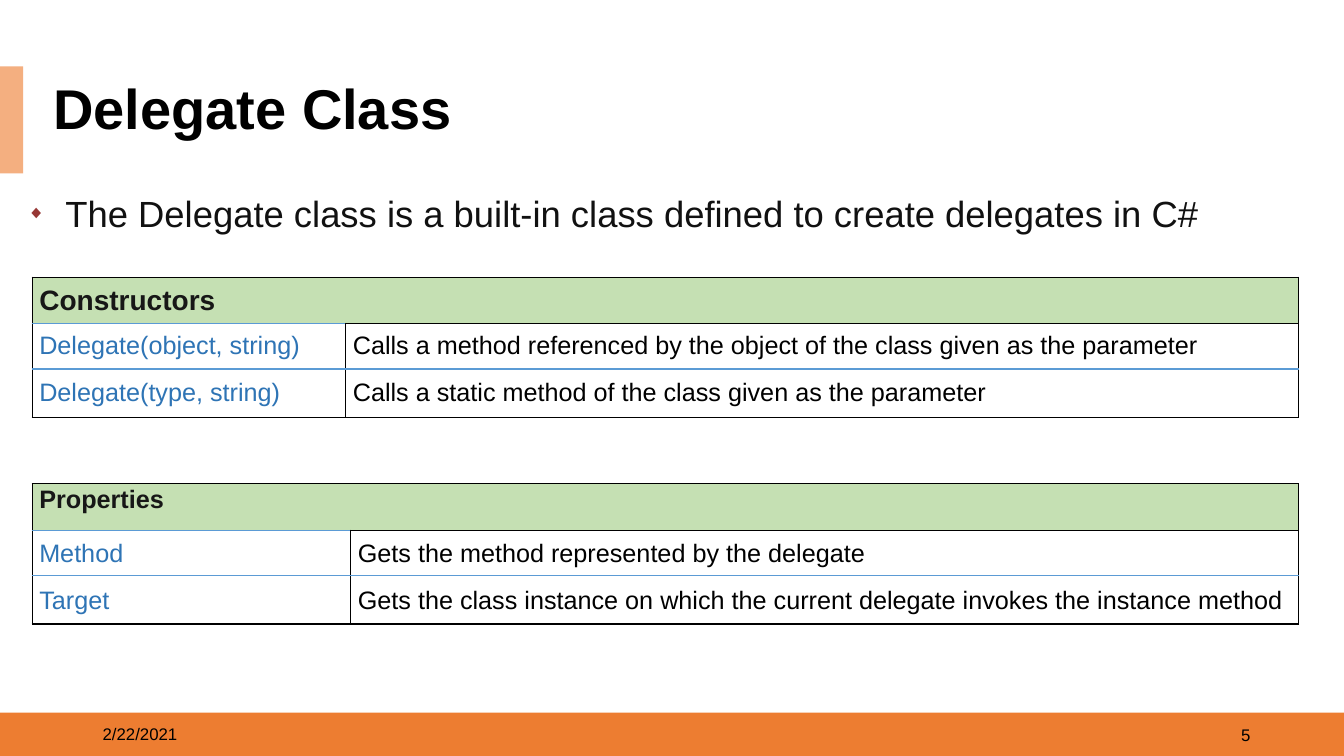
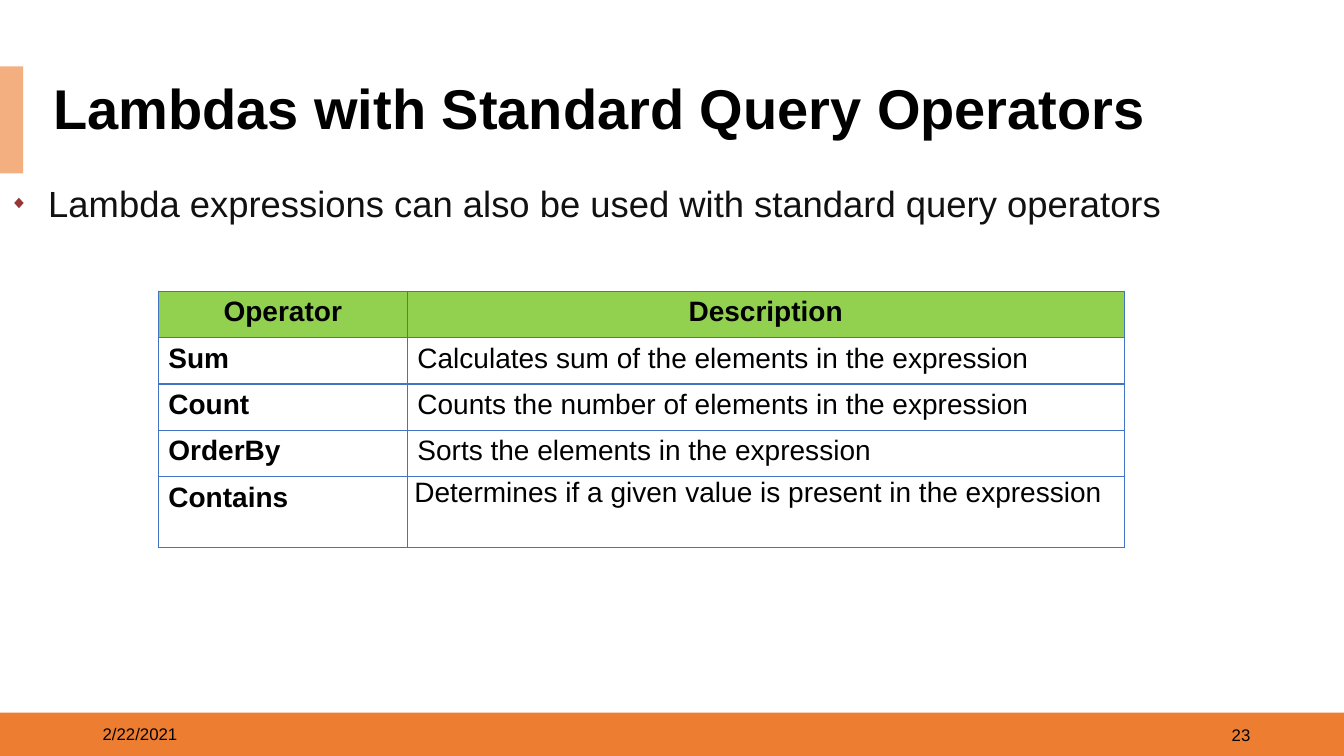
from pptx import Presentation
from pptx.dml.color import RGBColor
from pptx.enum.shapes import MSO_SHAPE
from pptx.enum.text import MSO_ANCHOR, MSO_AUTO_SIZE, PP_ALIGN
from pptx.oxml import parse_xml
from pptx.oxml.ns import nsdecls
from pptx.util import Inches, Pt

# Shared look
FONT = "Arial"
BLACK, WHITE, INK = "000000", "FFFFFF", "171717"
BAND, TAB = "ED7D31", "F4AF80"
BODY, MARK = "111111", "973735"
TERM, RULE = "2E74B5", "5B9BD5"
MINT, LIME, GRID = "C5E0B3", "92D050", "4472C4"
DATE = "2/22/2021"


def paint(color, code):
    """Give a font or fill colour its hex value."""
    color.rgb = RGBColor.from_string(code)


def write(frame, text, size, code=BLACK, bold=False, align=PP_ALIGN.LEFT,
          line=None, before=None, after=None):
    """Fill the first paragraph of a frame with one run."""
    par = frame.paragraphs[0]
    par.alignment = align
    if line is not None:
        par.line_spacing = line
    if before is not None:
        par.space_before = Pt(before)
    if after is not None:
        par.space_after = Pt(after)
    run = par.add_run()
    run.text = text
    run.font.name, run.font.size, run.font.bold = FONT, Pt(size), bold
    paint(run.font.color, code)
    return par


def add_bar(slide, left, top, width, height, code):
    bar = slide.shapes.add_shape(
        MSO_SHAPE.RECTANGLE, Inches(left), Inches(top),
        Inches(width), Inches(height))
    bar.shadow.inherit = False
    bar.fill.solid()
    paint(bar.fill.fore_color, code)
    bar.line.fill.background()


def add_text(slide, left, top, width, height, text, size,
             anchor=MSO_ANCHOR.MIDDLE, **style):
    box = slide.shapes.add_textbox(
        Inches(left), Inches(top), Inches(width), Inches(height))
    frame = box.text_frame
    frame.word_wrap = True
    frame.vertical_anchor = anchor
    return frame, write(frame, text, size, **style)


def add_point(slide, left, top, width, text, before, after):
    """A line of body text with a diamond bullet."""
    frame, par = add_text(
        slide, left, top, width, 0.68, text, 26, MSO_ANCHOR.TOP, code=BODY,
        align=PP_ALIGN.JUSTIFY, line=1.5, before=before, after=after)
    frame.auto_size = MSO_AUTO_SIZE.SHAPE_TO_FIT_TEXT
    props = par._p.get_or_add_pPr()
    indent = Inches(0.38)
    props.set("marL", str(indent))
    props.set("indent", str(-indent))
    for tag, inner in (
            ('buClr', f'<a:srgbClr val="{MARK}"/>'),
            ('buSzPct val="50000"', ""),
            ('buFont typeface="Arial"', ""),
            ('buChar char="◆"', "")):
        end = tag.split()[0]
        props.append(parse_xml(
            f'<a:{tag} {nsdecls("a")}>{inner}</a:{end}>'))


def edge(cell, **sides):
    """Draw 1 pt cell borders; keys L, R, T, B in that order."""
    props = cell._tc.get_or_add_tcPr()
    for side, code in sides.items():
        props.append(parse_xml(
            f'<a:ln{side} {nsdecls("a")} w="12700"><a:solidFill>'
            f'<a:srgbClr val="{code}"/></a:solidFill></a:ln{side}>'))


def fill(cell, code):
    cell.fill.solid()
    paint(cell.fill.fore_color, code)


def trim(cell):
    """Use narrow side margins and none above or below."""
    cell.margin_left = cell.margin_right = Inches(0.07)
    cell.margin_top = cell.margin_bottom = 0


def add_grid(slide, left, top, cols, rows):
    table = slide.shapes.add_table(
        len(rows), len(cols), Inches(left), Inches(top),
        Inches(sum(cols)), Inches(sum(rows))).table
    table.first_row = table.horz_banding = False
    for col, width in zip(table.columns, cols):
        col.width = Inches(width)
    for row, height in zip(table.rows, rows):
        row.height = Inches(height)
    return table


def add_list(slide, top, split, head, size, anchor, pairs, first, rest):
    """A table of terms under one merged heading."""
    table = add_grid(slide, 0.32, top, (split, 12.56 - split),
                     (0.46, 0.45, 0.48))
    last = len(pairs)
    for r in range(last + 1):
        for c in range(2):
            cell = table.cell(r, c)
            dark = r == 0 or (r == 1 and c == 1)
            base = BLACK if r == last or (r == 0 and c == 1) else RULE
            edge(cell, L=BLACK, R=BLACK, T=BLACK if dark else RULE, B=base)
            fill(cell, WHITE if r else MINT)
            trim(cell)
            cell.vertical_anchor = MSO_ANCHOR.MIDDLE
            if r:
                write(cell.text_frame, pairs[r - 1][c], 18,
                      BLACK if c else TERM, **rest)
    title = table.cell(0, 0)
    title.merge(table.cell(0, 1))
    title.vertical_anchor = anchor
    write(title.text_frame, head, size, INK, True, **first)


def add_chart(slide, pairs):
    """A ruled table of operators with a heading row."""
    table = add_grid(slide, 1.57, 2.89, (2.47, 7.11),
                     (0.46,) * (len(pairs) - 1) + (0.7,))
    for r, pair in enumerate(pairs):
        for c, text in enumerate(pair):
            cell = table.cell(r, c)
            edge(cell, **dict.fromkeys("LRTB", GRID))
            fill(cell, WHITE if r else LIME)
            write(cell.text_frame, text, 20, bold=r == 0 or c == 0,
                  align=PP_ALIGN.LEFT if r else PP_ALIGN.CENTER)
    trim(table.cell(len(pairs) - 1, 1))


def add_slide(deck, title, number):
    """A slide with bands, footer and title."""
    slide = deck.slides.add_slide(deck.slide_layouts[6])
    add_bar(slide, 0, 7.07, 13.33, 0.43, BAND)
    add_bar(slide, 0, 0.66, 0.23, 1.06, TAB)
    add_text(slide, 0.92, 7.08, 3, 0.4, DATE, 12)
    add_text(slide, 9.5, 7.09, 3, 0.4, number, 12, align=PP_ALIGN.RIGHT)
    add_text(slide, 0.43, 0.79, 12.45, 0.63, title, 40, bold=True, line=0.9)
    return slide


def main():
    deck = Presentation()
    deck.slide_width, deck.slide_height = Inches(13.33), Inches(7.5)

    # Delegate class
    slide = add_slide(deck, "Delegate Class", "5")
    add_list(slide, 4.8, 3.16, "Properties", 18, MSO_ANCHOR.TOP, (
        ("Method", "Gets the method represented by the delegate"),
        ("Target", "Gets the class instance on which the current delegate "
                   "invokes the instance method"),
    ), {"line": 1.07}, {"line": 1.07, "after": 8})
    add_list(slide, 2.75, 3.11, "Constructors", 20, MSO_ANCHOR.MIDDLE, (
        ("Delegate(object, string)", "Calls a method referenced by the "
         "object of the class given as the parameter"),
        ("Delegate(type, string)",
         "Calls a static method of the class given as the parameter"),
    ), {}, {"align": PP_ALIGN.JUSTIFY})
    add_point(slide, 0.17, 1.63, 12.72, "The Delegate class is a built-in "
              "class defined to create delegates in C#", 6, 6)

    # Query operators
    slide = add_slide(deck, "Lambdas with Standard Query Operators", "23")
    add_chart(slide, (
        ("Operator", "Description"),
        ("Sum", "Calculates sum of the elements in the expression"),
        ("Count", "Counts the number of elements in the expression"),
        ("OrderBy", "Sorts the elements in the expression"),
        ("Contains",
         "Determines if a given value is present in the expression"),
    ))
    add_point(slide, 0, 1.53, 12.34, "Lambda expressions can also be used "
              "with standard query operators", 10, 0)

    deck.save("out.pptx")


if __name__ == "__main__":
    main()
